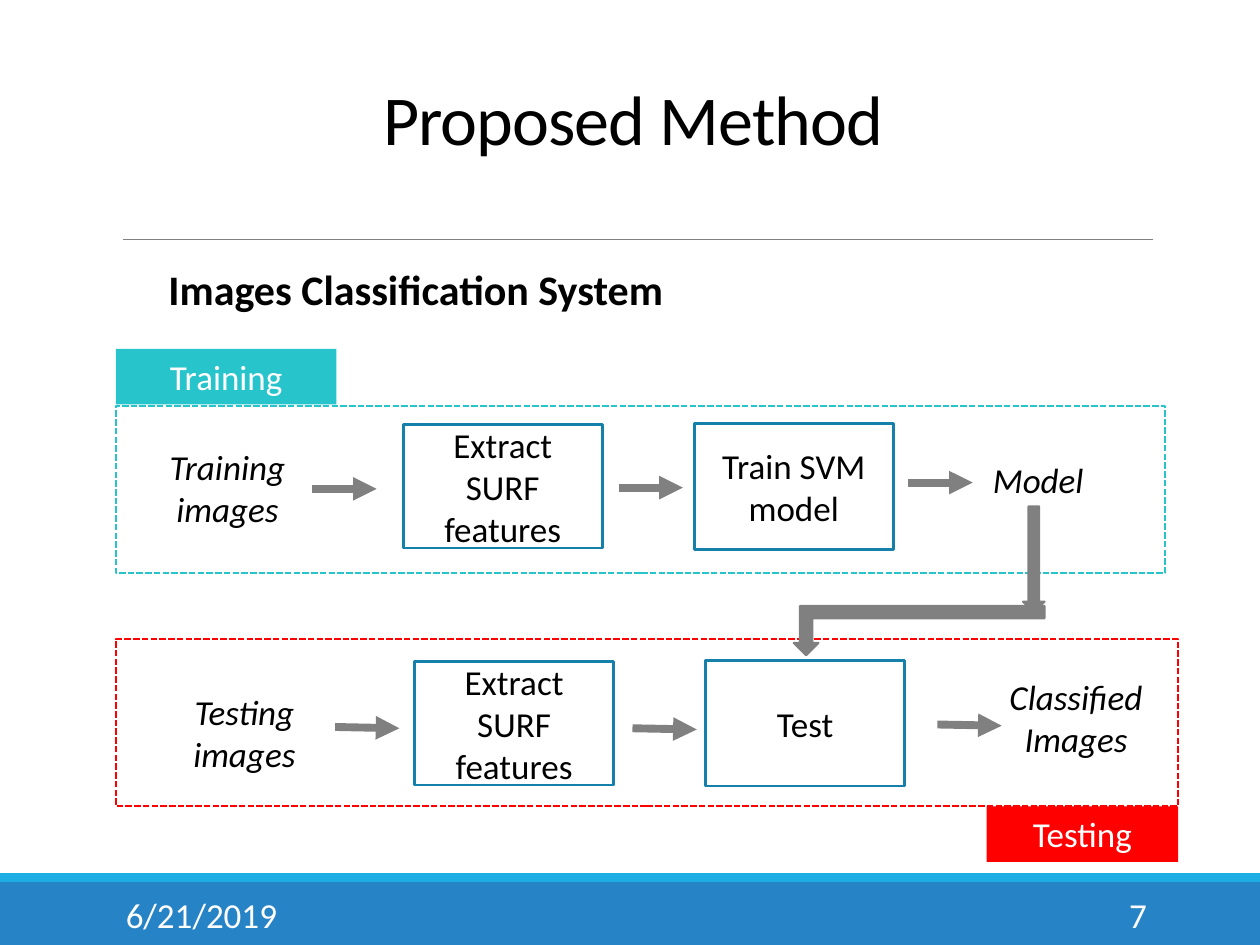
"""Build the Proposed Method slide with its training and testing flows."""
import pptx
import pptx.util
import pptx.dml.color
import pptx.enum.dml
import pptx.enum.shapes
import pptx.enum.text
import pptx.oxml.ns
from lxml import etree

Inches, Pt = pptx.util.Inches, pptx.util.Pt
Kind = pptx.enum.shapes.MSO_SHAPE
Align = pptx.enum.text.PP_ALIGN
Anchor = pptx.enum.text.MSO_ANCHOR
Dash = pptx.enum.dml.MSO_LINE_DASH_STYLE

HUES = {"black": "000000", "white": "FFFFFF", "gray": "808080", "blue": "2683C6",
        "sky": "1CADE4", "edge": "1580A9", "teal": "28C4CC", "red": "FF0000"}

TITLE = ("Proposed Method", (0.9, 0.31, 8.25, 1.59))
BANDS = [((0, 7, 10, 0.5), "blue"), ((0, 6.93, 10, 0.07), "sky")]
RULE = (0.98, 1.9, 9.15, 1.9)
FOOT = [("6/21/2019", (0.9, 7.06, 2.03, 0.4), Align.LEFT),
        ("7", (8.12, 7.06, 1.08, 0.4), Align.RIGHT)]
HEAD = ("Images Classification System", (1.14, 2.04, 4.32, 0.5))
FRAMES = [((0.92, 3.22, 8.33, 1.33), "teal"), ((0.92, 5.07, 8.43, 1.33), "red")]
TAGS = [("Training", (0.92, 2.77, 1.75, 0.44), "teal"),
        ("Testing", (7.83, 6.4, 1.52, 0.44), "red")]
STEPS = [("Extract SURF features", (3.2, 3.37, 1.58, 0.98)),
         ("Train SVM model", (5.51, 3.36, 1.58, 1)),
         ("Extract SURF features", (3.29, 5.25, 1.58, 0.98)),
         ("Test", (5.6, 5.24, 1.58, 1))]
NOTES = [("Training\nimages", (1.13, 3.49, 1.35, 0.77)),
         ("Model", (7.48, 3.59, 1.52, 0.44)),
         ("Testing\nimages", (1.26, 5.43, 1.36, 0.77)),
         ("Classified Images", (7.84, 5.31, 1.4, 0.77))]
REACH = 0.51
FLOWS = [(2.48, 3.88, 0), (4.91, 3.87, 0), (7.21, 3.83, 0),
         (2.66, 5.77, 0.01), (5.02, 5.78, 0.01), (7.44, 5.75, 0.01)]
TURNS = [(Kind.BENT_UP_ARROW, (6.3, 4.81, 1.99, 0.39), 180),
         (Kind.DOWN_ARROW, (8.12, 4.02, 0.17, 0.84), 0)]


def tint(name):
    return pptx.dml.color.RGBColor.from_string(HUES[name])


def write(frame, text, hue="black", align=Align.CENTER, anchor=Anchor.TOP, **style):
    frame.word_wrap = True
    frame.vertical_anchor = anchor
    frame.text = text
    for para in frame.paragraphs:
        para.alignment = align
        looks = {"name": "Calibri", "size": Pt(20), **style}
        for run in para.runs:
            for key, value in looks.items():
                setattr(run.font, key, value)
            run.font.color.rgb = tint(hue)


def label(slide, text, box, **style):
    area = slide.shapes.add_textbox(*map(Inches, box))
    write(area.text_frame, text, **style)


def block(slide, box, fill=None, edge=None, width=1.25, kind=Kind.RECTANGLE):
    shape = slide.shapes.add_shape(kind, *map(Inches, box))
    shape.shadow.inherit = False
    if fill:
        shape.fill.solid()
        shape.fill.fore_color.rgb = tint(fill)
    else:
        shape.fill.background()
    if edge:
        shape.line.color.rgb = tint(edge)
        shape.line.width = Pt(width)
    else:
        shape.line.fill.background()
    return shape


def link(slide, ends, width, arrow=False):
    line = slide.shapes.add_connector(
        pptx.enum.shapes.MSO_CONNECTOR.STRAIGHT, *map(Inches, ends))
    line.line.color.rgb = tint("gray")
    line.line.width = Pt(width)
    qn = pptx.oxml.ns.qn
    props = line.line._get_or_add_ln()
    if arrow:
        etree.SubElement(props, qn("a:tailEnd"), type="triangle")
    etree.SubElement(props.getparent(), qn("a:effectLst"))


def title(slide):
    text, box = TITLE
    head = slide.shapes.title
    head.left, head.top, head.width, head.height = map(Inches, box)
    frame = head.text_frame
    write(frame, text, anchor=Anchor.BOTTOM, size=Pt(40))
    frame.auto_size = pptx.enum.text.MSO_AUTO_SIZE.NONE
    frame.margin_bottom = Inches(0.63)
    para = frame.paragraphs[0]
    para.line_spacing = 0.85
    para.runs[0].font._element.set("spc", "-50")


def main():
    deck = pptx.Presentation()
    deck.slide_width, deck.slide_height = Inches(10), Inches(7.5)
    slide = deck.slides.add_slide(deck.slide_layouts[5])
    title(slide)
    for box, hue in BANDS:
        block(slide, box, fill=hue)
    link(slide, RULE, 0.5)
    for text, box, align in FOOT:
        label(slide, text, box, hue="white", align=align, anchor=Anchor.MIDDLE)
    label(slide, *HEAD, size=Pt(24), bold=True)
    for box, hue in FRAMES:
        block(slide, box, edge=hue).line.dash_style = Dash.SQUARE_DOT
    for text, box, hue in TAGS:
        write(block(slide, box, fill=hue).text_frame, text, hue="white")
    for text, box in STEPS:
        step = block(slide, box, edge="edge", width=1.5)
        write(step.text_frame, text, anchor=Anchor.MIDDLE)
    for text, box in NOTES:
        label(slide, text, box, italic=True)
    for left, top, drop in FLOWS:
        link(slide, (left, top, left + REACH, top + drop), 4.5, arrow=True)
    for kind, box, turn in TURNS:
        block(slide, box, fill="gray", edge="gray", kind=kind).rotation = turn
    deck.save("out.pptx")


if __name__ == "__main__":
    main()
